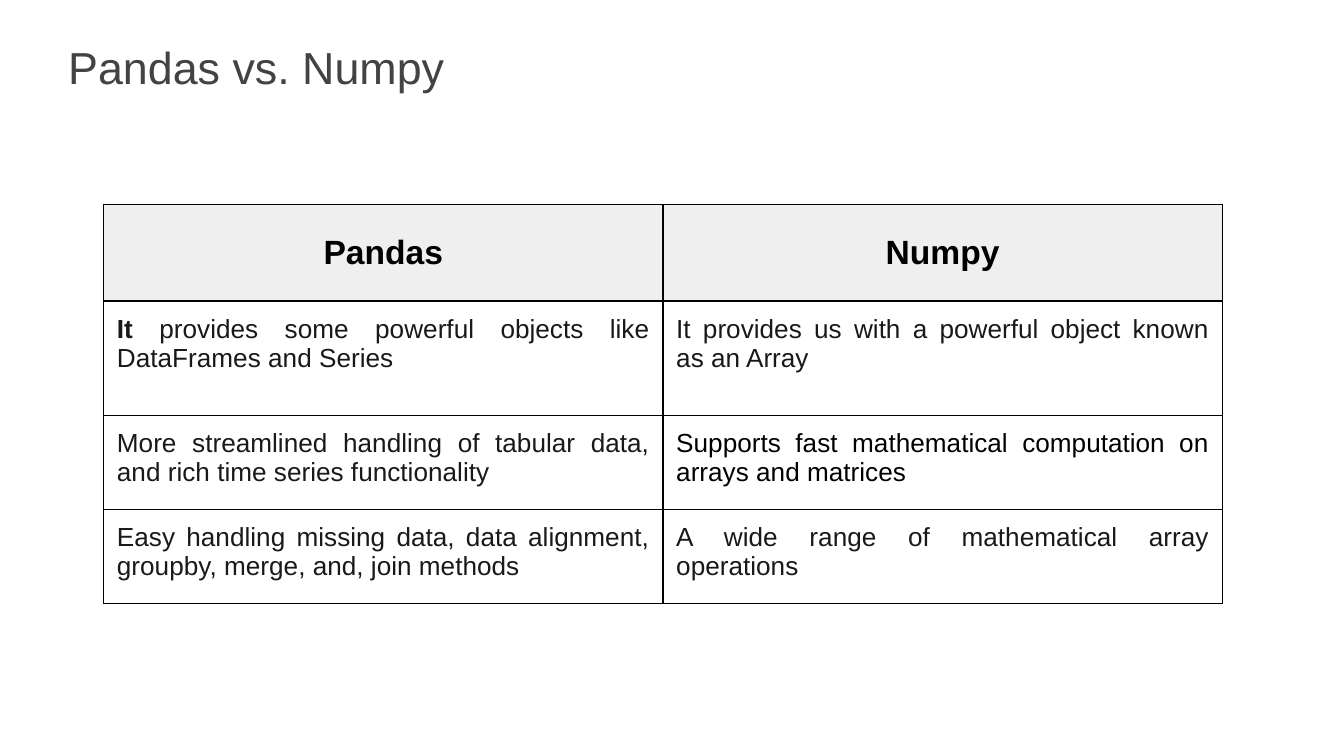
import pptx
import pptx.dml.color
import pptx.enum.text
import pptx.oxml
import pptx.oxml.ns
import pptx.util

Cm = pptx.util.Cm
Pt = pptx.util.Pt
ALIGN = pptx.enum.text.PP_ALIGN
ANCHOR = pptx.enum.text.MSO_ANCHOR


def color(code):
    return pptx.dml.color.RGBColor.from_string(code)


def write(par, text, size=14, ink="1A1918", bold=False, align=ALIGN.LEFT, font="Arial"):
    """Add one formatted run to a paragraph."""
    par.alignment = align
    run = par.add_run()
    run.text = text
    run.font.name = font
    run.font.size = Pt(size)
    run.font.bold = bold
    run.font.color.rgb = color(ink)


class Deck:
    black = "000000"
    title_ink = "434343"
    head_fill = "EFEFEF"
    inset = Cm(0.25)
    border = Pt(0.75)

    def __init__(self, slide):
        self.slide = slide

    def title(self, text, left, top, width, height):
        box = self.slide.shapes.add_textbox(Cm(left), Cm(top), Cm(width), Cm(height))
        frame = box.text_frame
        frame.word_wrap = True
        frame.margin_left = frame.margin_right = self.inset
        frame.margin_top, frame.margin_bottom = Cm(0.37), 0
        write(frame.paragraphs[0], text, size=24, ink=self.title_ink)

    def edge(self, cell):
        props = cell._tc.get_or_add_tcPr()
        space = pptx.oxml.ns.nsdecls("a")
        for spot, side in enumerate("LRTB"):
            line = pptx.oxml.parse_xml(
                f'<a:ln{side} {space} w="{self.border}"><a:solidFill>'
                f'<a:srgbClr val="{self.black}"/></a:solidFill></a:ln{side}>')
            props.insert(spot, line)

    def cell(self, cell, runs, head):
        cell.margin_left = cell.margin_right = self.inset
        cell.margin_top = cell.margin_bottom = self.inset
        cell.vertical_anchor = ANCHOR.MIDDLE if head else ANCHOR.TOP
        if head:
            cell.fill.solid()
            cell.fill.fore_color.rgb = color(self.head_fill)
        else:
            cell.fill.background()
        self.edge(cell)
        base = (dict(size=18, ink=self.black, bold=True, align=ALIGN.CENTER)
                if head else dict(align=ALIGN.JUSTIFY))
        for text, style in runs:
            write(cell.text_frame.paragraphs[0], text, **{**base, **style})

    def table(self, rows, left, top, width, heights):
        count = len(rows[0])
        frame = self.slide.shapes.add_table(
            len(rows), count, Cm(left), Cm(top), Cm(width), Cm(sum(heights)))
        grid = frame.table
        for col in grid.columns:
            col.width = Cm(width / count)
        for r, row in enumerate(rows):
            grid.rows[r].height = Cm(heights[r])
            for c, item in enumerate(row):
                runs = [(item, {})] if isinstance(item, str) else item
                self.cell(grid.cell(r, c), runs, head=r == 0)


def main():
    show = pptx.Presentation()
    show.slide_width, show.slide_height = Cm(25.4), Cm(14.29)
    deck = Deck(show.slides.add_slide(show.slide_layouts[6]))

    # Title
    deck.title("Pandas vs. Numpy", 1.04, 0.38, 20.7, 1.47)

    # Comparison table
    rows = [
        ["Pandas", "Numpy"],
        [[("It ", {"bold": True}),
          ("provides some powerful objects like DataFrames and Series", {})],
         "It provides us with a powerful object known as an Array"],
        ["More streamlined handling of tabular data, and rich time series functionality",
         [("Supports fast mathematical computation on arrays and matrices",
           {"ink": deck.black})]],
        ["Easy handling missing data, data alignment, groupby, merge, and, join methods",
         "A wide range of mathematical array operations"],
    ]
    deck.table(rows, 1.96, 3.86, 21.14, [1.83, 2.16, 1.78, 1.78])

    show.save("out.pptx")


if __name__ == "__main__":
    main()
